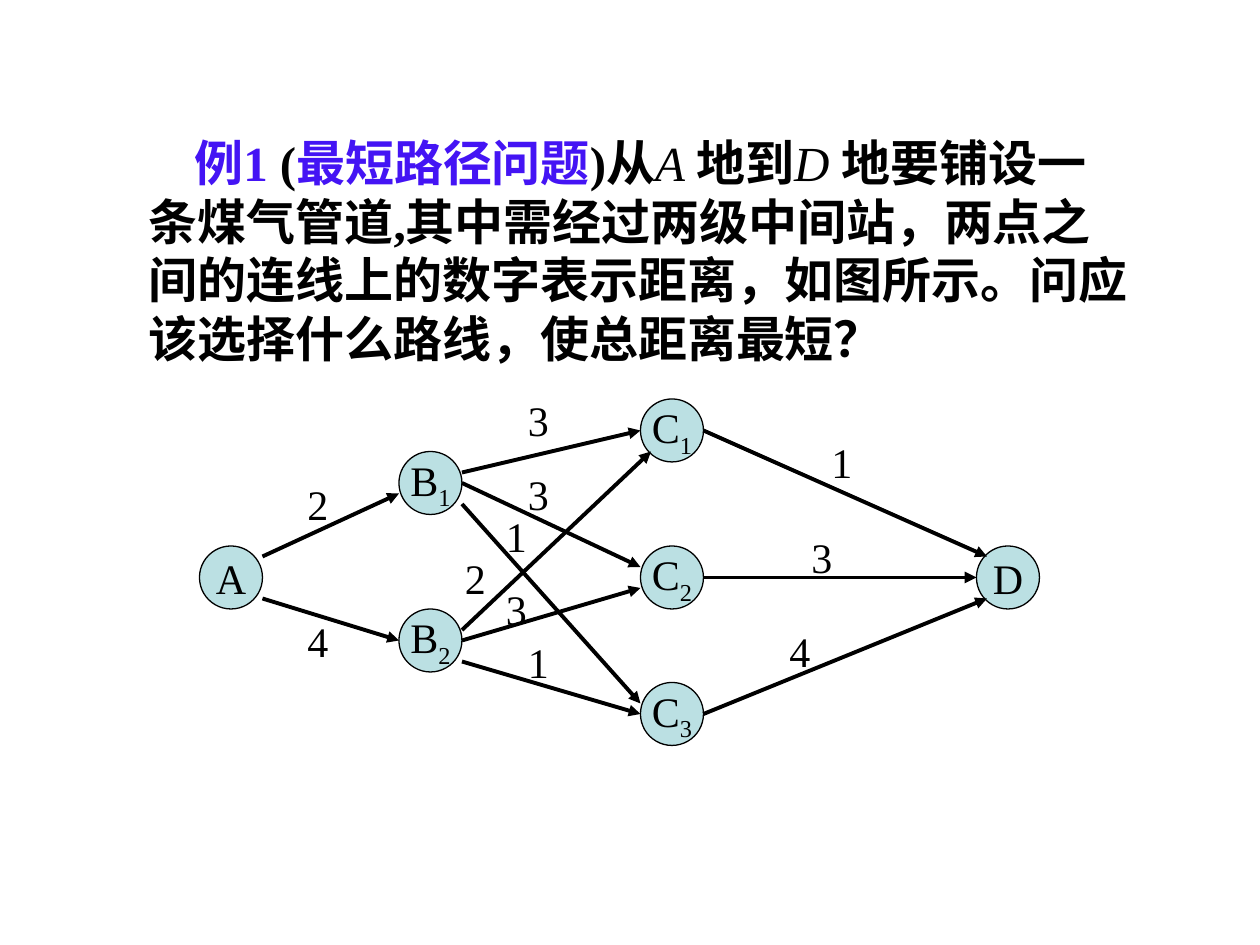
from lxml.etree import SubElement
from pptx import Presentation
from pptx.dml.color import RGBColor
from pptx.enum.shapes import MSO_CONNECTOR as Connector, MSO_SHAPE as Shape
from pptx.enum.text import MSO_ANCHOR as Anchor, MSO_AUTO_SIZE as AutoSize, PP_ALIGN as Align
from pptx.oxml.ns import qn
from pptx.util import Pt

BLACK = RGBColor(0x00, 0x00, 0x00)
VIOLET = RGBColor(0x44, 0x14, 0xF4)
PALE_TEAL = RGBColor(0xBB, 0xE0, 0xE3)
FONT = "Times New Roman"
NODE_SIZE = 36
LABEL_SIZE = (26, 36)

# Problem statement: text and its run format
STATEMENT = [
    ("例1", {"bold": True, "color": VIOLET}),
    (" (", {"bold": True}),
    ("最短路径问题", {"bold": True, "color": VIOLET}),
    (")从", {"bold": True}),
    ("A ", {"italic": True}),
    ("地到", {"bold": True}),
    ("D ", {"italic": True}),
    ("地要铺设一条煤气管道,其中需经过两级中间站，两点之间的连线上的数字表示距离，"
     "如图所示。问应该选择什么路线，使总距离最短？", {"bold": True}),
]

# Stations: left and top
NODES = {
    "A": (114, 312),
    "B1": (228, 258), "B2": (228, 348),
    "C1": (366, 228), "C2": (366, 312), "C3": (366, 390),
    "D": (558, 312),
}

# Pipes: start, drop from its top, end, offset from its corner, distance, label corner
EDGES = [
    ("A", 6, "B1", (0, 24), "2", (168.5, 270)),
    ("A", 30, "B2", (0, 18), "4", (168.5, 348)),
    ("B1", 12, "C1", (0, 18), "3", (294.5, 222)),
    ("B1", 18, "C2", (0, 12), "3", (294.5, 264)),
    ("B1", 30, "C3", (0, 12), "1", (282, 288)),
    ("B2", 12, "C1", (6, 30), "2", (258.5, 312)),
    ("B2", 18, "C2", (0, 24), "3", (282, 330)),
    ("B2", 30, "C3", (0, 18), "1", (294.5, 360)),
    ("C1", 18, "D", (6, 6), "1", (468, 246)),
    ("C2", 18, "D", (0, 18), "3", (456.5, 300)),
    ("C3", 18, "D", (6, 30), "4", (444, 354)),
]


def add_run(paragraph, text, size=24, color=BLACK, bold=False, italic=False, baseline=None):
    run = paragraph.add_run()
    run.text = text
    font = run.font
    font.name, font.size, font.bold, font.italic = FONT, Pt(size), bold, italic
    font.color.rgb = color
    if baseline:
        run._r.get_or_add_rPr().set("baseline", str(baseline))


def add_node(shapes, name, left, top):
    node = shapes.add_shape(Shape.OVAL, Pt(left), Pt(top), Pt(NODE_SIZE), Pt(NODE_SIZE))
    node.shadow.inherit = False
    node.fill.solid()
    node.fill.fore_color.rgb = PALE_TEAL
    node.line.color.rgb = BLACK
    node.line.width = Pt(0.75)
    frame = node.text_frame
    frame.word_wrap = False
    frame.vertical_anchor = Anchor.MIDDLE
    paragraph = frame.paragraphs[0]
    paragraph.alignment = Align.CENTER
    add_run(paragraph, name[0])
    if name[1:]:
        add_run(paragraph, name[1:], baseline=-25000)


def add_arrow(shapes, start, end):
    arrow = shapes.add_connector(Connector.STRAIGHT, *map(Pt, start + end))
    arrow.line.color.rgb = BLACK
    arrow.line.width = Pt(2.25)
    SubElement(arrow.line._get_or_add_ln(), qn("a:tailEnd"), type="triangle")
    SubElement(arrow._element.spPr, qn("a:effectLst"))


def add_label(shapes, text, corner):
    label = shapes.add_textbox(*map(Pt, corner + LABEL_SIZE))
    label.text_frame.word_wrap = False
    label.text_frame.auto_size = AutoSize.SHAPE_TO_FIT_TEXT
    add_run(label.text_frame.paragraphs[0], text)


def main():
    presentation = Presentation()
    presentation.slide_width, presentation.slide_height = Pt(720), Pt(540)
    slide = presentation.slides.add_slide(presentation.slide_layouts[6])

    # Statement with an indented first line
    statement = slide.shapes.add_textbox(Pt(78), Pt(72), Pt(576), Pt(142))
    statement.text_frame.word_wrap = True
    statement.text_frame.auto_size = AutoSize.SHAPE_TO_FIT_TEXT
    paragraph = statement.text_frame.paragraphs[0]
    paragraph._p.get_or_add_pPr().set("indent", str(Pt(26)))
    for text, style in STATEMENT:
        add_run(paragraph, text, size=28, **style)

    # Pipeline network
    network = slide.shapes.add_group_shape().shapes
    for name, (left, top) in NODES.items():
        add_node(network, name, left, top)
    for start, drop, end, (dx, dy), *_ in EDGES:
        start_left, start_top = NODES[start]
        end_left, end_top = NODES[end]
        add_arrow(network, (start_left + NODE_SIZE, start_top + drop),
                  (end_left + dx, end_top + dy))
    for *_, distance, corner in EDGES:
        add_label(network, distance, corner)

    presentation.save("out.pptx")


if __name__ == "__main__":
    main()
